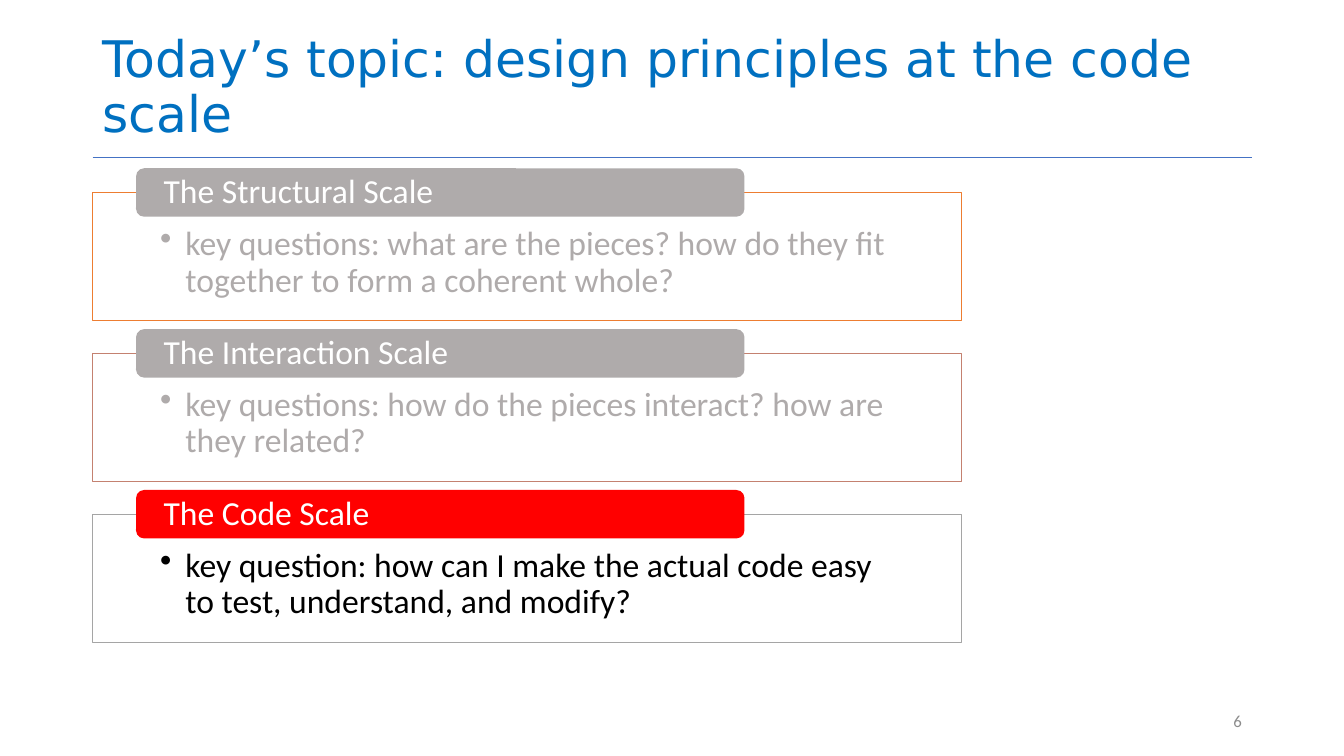
from dataclasses import dataclass

import lxml.etree
import pptx
import pptx.dml.color
import pptx.enum.shapes
import pptx.enum.text
import pptx.oxml.ns
import pptx.util

Pt = pptx.util.Pt
RGBColor = pptx.dml.color.RGBColor
Align = pptx.enum.text.PP_ALIGN
Anchor = pptx.enum.text.MSO_ANCHOR
ShapeType = pptx.enum.shapes.MSO_SHAPE
qn = pptx.oxml.ns.qn

BLUE = RGBColor(0x00, 0x70, 0xC0)
RULE_BLUE = RGBColor(0x44, 0x72, 0xC4)
ORANGE = RGBColor(0xED, 0x7D, 0x31)
ROSE = RGBColor(0xC4, 0x81, 0x70)
GRAY = RGBColor(0xA5, 0xA5, 0xA5)
MUTED = RGBColor(0xAF, 0xAB, 0xAB)
NUMBER_GRAY = RGBColor(0x8C, 0x8C, 0x8C)
RED = RGBColor(0xFF, 0x00, 0x00)
BLACK = RGBColor(0x00, 0x00, 0x00)
WHITE = RGBColor(0xFF, 0xFF, 0xFF)

LEFT = 66.24
CONTENT_WIDTH = 828
BOX_WIDTH, BOX_HEIGHT = 620.6, 91.4
FIRST_BOX_TOP, BOX_STEP = 137.5, 114.9
TAB_LEFT, TAB_RISE = 97.2, 17.3
TAB_WIDTH, TAB_HEIGHT = 434.6, 34.6


@dataclass(frozen=True)
class Scale:
    name: str
    question: str
    outline: RGBColor
    tab_color: RGBColor
    question_color: RGBColor


SCALES = [
    Scale("The Structural Scale",
          "key questions: what are the pieces? how do they fit together to form a coherent whole?",
          ORANGE, MUTED, MUTED),
    Scale("The Interaction Scale",
          "key questions: how do the pieces interact? how are they related?",
          ROSE, MUTED, MUTED),
    Scale("The Code Scale",
          "key question: how can I make the actual code easy to test, understand, and modify?",
          GRAY, RED, BLACK),
]


def write_text(shape, text: str, *, size: float, color: RGBColor, font: str = "Calibri",
               align=Align.LEFT, anchor=Anchor.MIDDLE, spacing: float = 0.9,
               insets: tuple = (7.2, 3.6, 7.2, 3.6), bullet_indent: float = 0) -> None:
    frame = shape.text_frame
    frame.word_wrap = True
    frame.vertical_anchor = anchor
    frame.margin_left, frame.margin_top, frame.margin_right, frame.margin_bottom = map(Pt, insets)
    paragraph = frame.paragraphs[0]
    paragraph.alignment = align
    paragraph.line_spacing = spacing
    run = paragraph.add_run()
    run.text = text
    run.font.size = Pt(size)
    run.font.name = font
    run.font.color.rgb = color
    if bullet_indent:
        properties = paragraph._p.get_or_add_pPr()
        properties.set("marL", str(Pt(bullet_indent)))
        properties.set("indent", str(-Pt(bullet_indent)))
        lxml.etree.SubElement(properties, qn("a:buChar")).set("char", "•")


def add_panel(slide, kind, left: float, top: float, width: float, height: float,
              fill: RGBColor, outline: RGBColor | None = None):
    shape = slide.shapes.add_shape(kind, Pt(left), Pt(top), Pt(width), Pt(height))
    shape.shadow.inherit = False
    shape.fill.solid()
    shape.fill.fore_color.rgb = fill
    if outline is None:
        shape.line.fill.background()
    else:
        shape.line.color.rgb = outline
        shape.line.width = Pt(0.5)
    return shape


def set_opacity(shape, percent: int) -> None:
    color = shape.fill._xPr.find(qn("a:solidFill"))[0]
    lxml.etree.SubElement(color, qn("a:alpha")).set("val", str(percent * 1000))


def add_scale(slide, scale: Scale, top: float) -> None:
    box = add_panel(slide, ShapeType.RECTANGLE, LEFT, top, BOX_WIDTH, BOX_HEIGHT,
                    WHITE, scale.outline)
    set_opacity(box, 90)
    write_text(box, scale.question, size=24, color=scale.question_color, anchor=Anchor.TOP,
               insets=(48.2, 24.5, 48.2, 13.7), bullet_indent=18)
    tab = add_panel(slide, ShapeType.ROUNDED_RECTANGLE, TAB_LEFT, top - TAB_RISE,
                    TAB_WIDTH, TAB_HEIGHT, scale.tab_color)
    write_text(tab, scale.name, size=24, color=WHITE, insets=(18, 0, 18, 0))


presentation = pptx.Presentation()
presentation.slide_width = Pt(960)
presentation.slide_height = Pt(540)
slide = presentation.slides.add_slide(presentation.slide_layouts[6])

# Title and the rule below it
rule = slide.shapes.add_connector(pptx.enum.shapes.MSO_CONNECTOR.STRAIGHT,
                                  Pt(LEFT), Pt(112.3), Pt(LEFT + CONTENT_WIDTH), Pt(112.3))
rule.line.color.rgb = RULE_BLUE
rule.line.width = Pt(0.5)
lxml.etree.SubElement(rule._element.spPr, qn("a:effectLst"))
title = slide.shapes.add_textbox(Pt(LEFT), Pt(1.4), Pt(CONTENT_WIDTH), Pt(104.4))
write_text(title, "Today’s topic: design principles at the code scale", size=36,
           color=BLUE, font="DejaVu Sans", anchor=Anchor.BOTTOM)

# The three scales
for index, scale in enumerate(SCALES):
    add_scale(slide, scale, FIRST_BOX_TOP + index * BOX_STEP)

# Slide number
number = slide.shapes.add_textbox(Pt(678.24), Pt(500.5), Pt(216), Pt(28.8))
write_text(number, "6", size=12, color=NUMBER_GRAY, align=Align.RIGHT, spacing=1.0)

presentation.save("out.pptx")
